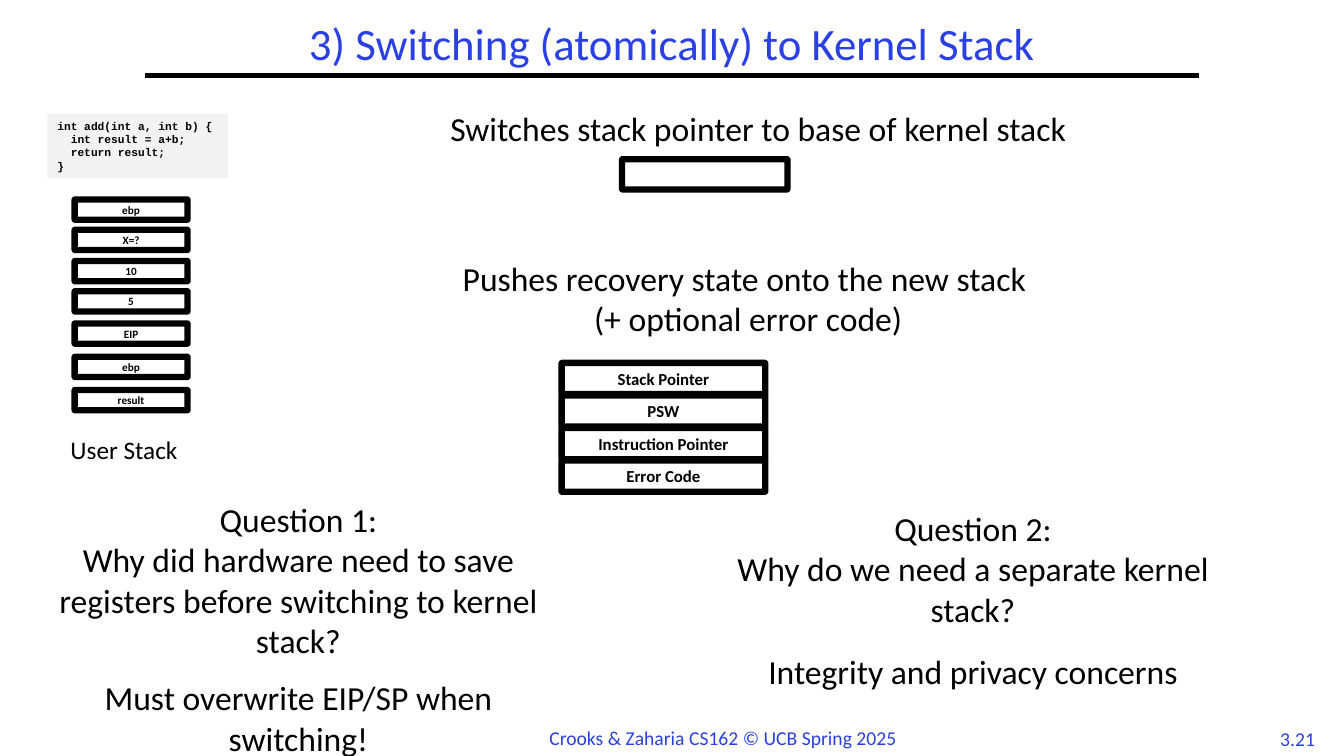
from pptx import Presentation
from pptx.dml.color import RGBColor
from pptx.enum.shapes import MSO_CONNECTOR, MSO_SHAPE
from pptx.enum.text import MSO_ANCHOR, PP_ALIGN
from pptx.oxml.ns import qn
from pptx.util import Inches, Pt
from lxml import etree

COLORS = {"blue": "2A40E2", "black": "000000", "white": "FFFFFF", "gray": "F2F2F2"}

CODE = """int add(int a, int b) {
  int result = a+b;
  return result;
}"""

USER_STACK = [
    ("ebp", 1.98), ("X=?", 2.28), ("10", 2.59), ("5", 2.89),
    ("EIP", 3.21), ("ebp", 3.54), ("result", 3.87),
]
KERNEL_STACK = ["Stack Pointer", "PSW", "Instruction Pointer", "Error Code"]
KERNEL_TOP, KERNEL_STEP = 3.6, 0.323

# Left, top, width, height and text of the centred statements
STATEMENTS = [
    (2.45, 1.02, 10.14, 0.5, "Switches stack pointer to base of kernel stack"),
    (2.59, 2.51, 9.66, 0.91,
     "Pushes recovery state onto the new stack \n(+ optional error code)"),
    (0.23, 4.9, 5.46, 1.72,
     "Question 1:\nWhy did hardware need to save registers before switching to kernel stack?"),
    (7.09, 4.99, 5.12, 1.31, "Question 2:\nWhy do we need a separate kernel stack?"),
    (0.4, 6.67, 5.12, 0.83, "Must overwrite EIP/SP when switching!"),
    (7.09, 6.41, 5.12, 0.91, "Integrity and privacy concerns"),
]


def color(name):
    return RGBColor.from_string(COLORS[name])


def write_text(shape, text, size=24, font="Calibri", ink="black", bold=False,
               align=PP_ALIGN.CENTER, anchor=MSO_ANCHOR.TOP, wrap=True, spacing=None):
    frame = shape.text_frame
    frame.word_wrap = wrap
    frame.vertical_anchor = anchor
    for index, line in enumerate(text.split("\n")):
        paragraph = frame.add_paragraph() if index else frame.paragraphs[0]
        paragraph.alignment = align
        paragraph.line_spacing = spacing
        run = paragraph.add_run()
        run.text = line
        run.font.name = font
        run.font.size = Pt(size)
        run.font.bold = bold
        run.font.color.rgb = color(ink)


def add_text(slide, left, top, width, height, text, **text_format):
    box = slide.shapes.add_textbox(
        Inches(left), Inches(top), Inches(width), Inches(height))
    write_text(box, text, **text_format)


def add_box(slide, left, top, width, height, kind=MSO_SHAPE.RECTANGLE, fill="white"):
    shape = slide.shapes.add_shape(
        kind, Inches(left), Inches(top), Inches(width), Inches(height))
    shape.shadow.inherit = False
    shape.fill.solid()
    shape.fill.fore_color.rgb = color(fill)
    shape.line.fill.background()
    return shape


def add_stack_cell(slide, left, top, width, height, text="", size=12):
    cell = add_box(slide, left, top, width, height, MSO_SHAPE.ROUNDED_RECTANGLE)
    cell.adjustments[0] = 0.017
    cell.line.color.rgb = color("black")
    cell.line.width = Pt(4.5)
    if text:
        write_text(cell, text, size=size, bold=True, anchor=MSO_ANCHOR.MIDDLE)


def add_rule(slide, left, right, top):
    rule = slide.shapes.add_connector(
        MSO_CONNECTOR.STRAIGHT, Inches(left), Inches(top), Inches(right), Inches(top))
    rule.line.color.rgb = color("black")
    rule.line.width = Pt(3)
    etree.SubElement(rule._element.spPr, qn("a:effectLst"))


def main():
    presentation = Presentation()
    presentation.slide_width = Inches(13.33)
    presentation.slide_height = Inches(7.5)
    slide = presentation.slides.add_slide(presentation.slide_layouts[6])

    # Title and footer
    add_text(slide, 0, 0.17, 13.33, 0.58, "3) Switching (atomically) to Kernel Stack",
             size=32, ink="blue", anchor=MSO_ANCHOR.MIDDLE, spacing=0.9)
    add_rule(slide, 1.44, 11.89, 0.75)
    add_text(slide, 5.35, 7.15, 3.67, 0.34, "Crooks & Zaharia CS162 © UCB Spring 2025",
             size=14, ink="blue", align=PP_ALIGN.LEFT, wrap=False)
    add_text(slide, 12.58, 7.16, 0.58, 0.33, "3.21", size=14, ink="blue", wrap=False)

    # Code and user stack
    code_box = add_box(slide, 0.47, 1.13, 1.79, 0.64, fill="gray")
    write_text(code_box, CODE, size=8, font="Courier New", bold=True, align=PP_ALIGN.LEFT)
    for label, top in USER_STACK:
        add_stack_cell(slide, 0.74, top, 1.12, 0.2, label, size=8)
    add_text(slide, 0.23, 4.26, 2, 0.4, "User Stack", size=18)

    # Statements and questions
    for left, top, width, height, text in STATEMENTS:
        add_text(slide, left, top, width, height, text)

    # Kernel stack, empty and then filled
    add_stack_cell(slide, 6.17, 1.58, 1.64, 0.3)
    for index, label in enumerate(KERNEL_STACK):
        add_stack_cell(slide, 5.57, KERNEL_TOP + index * KERNEL_STEP, 2.02, 0.31, label)

    presentation.save("out.pptx")


if __name__ == "__main__":
    main()
